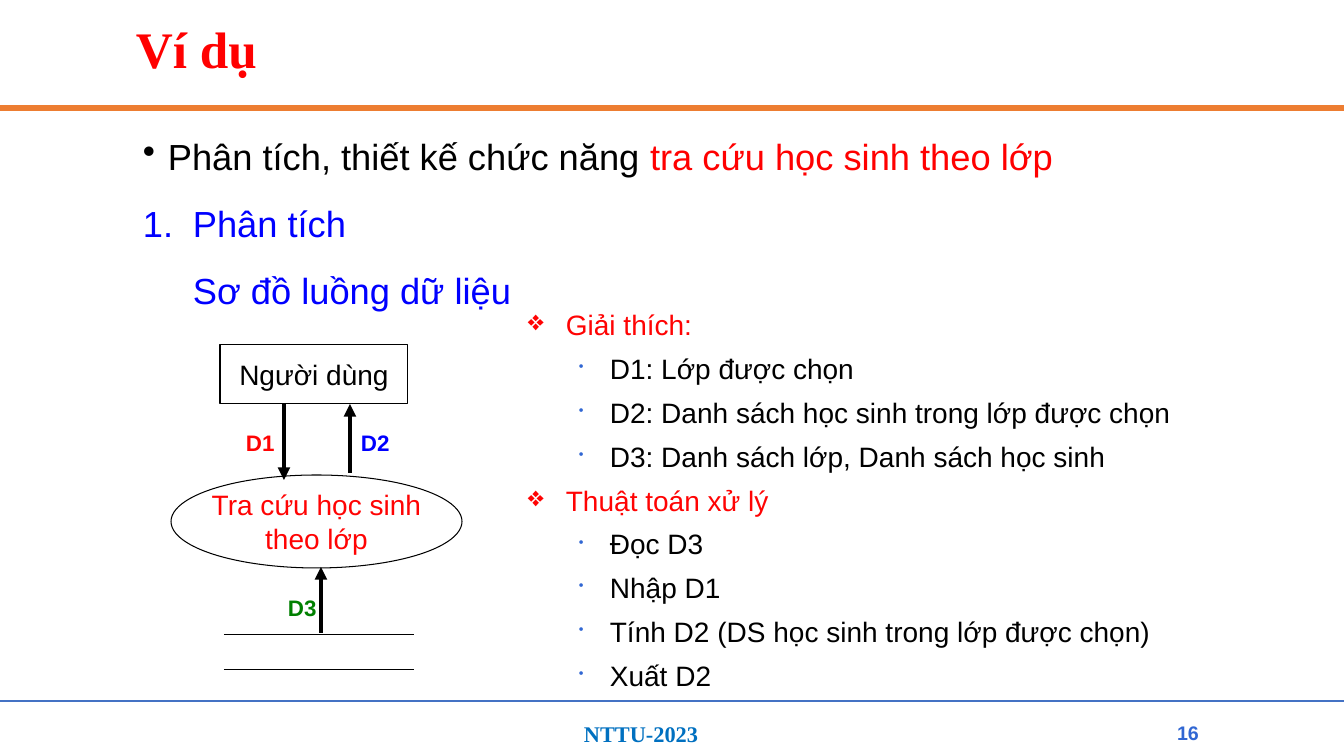
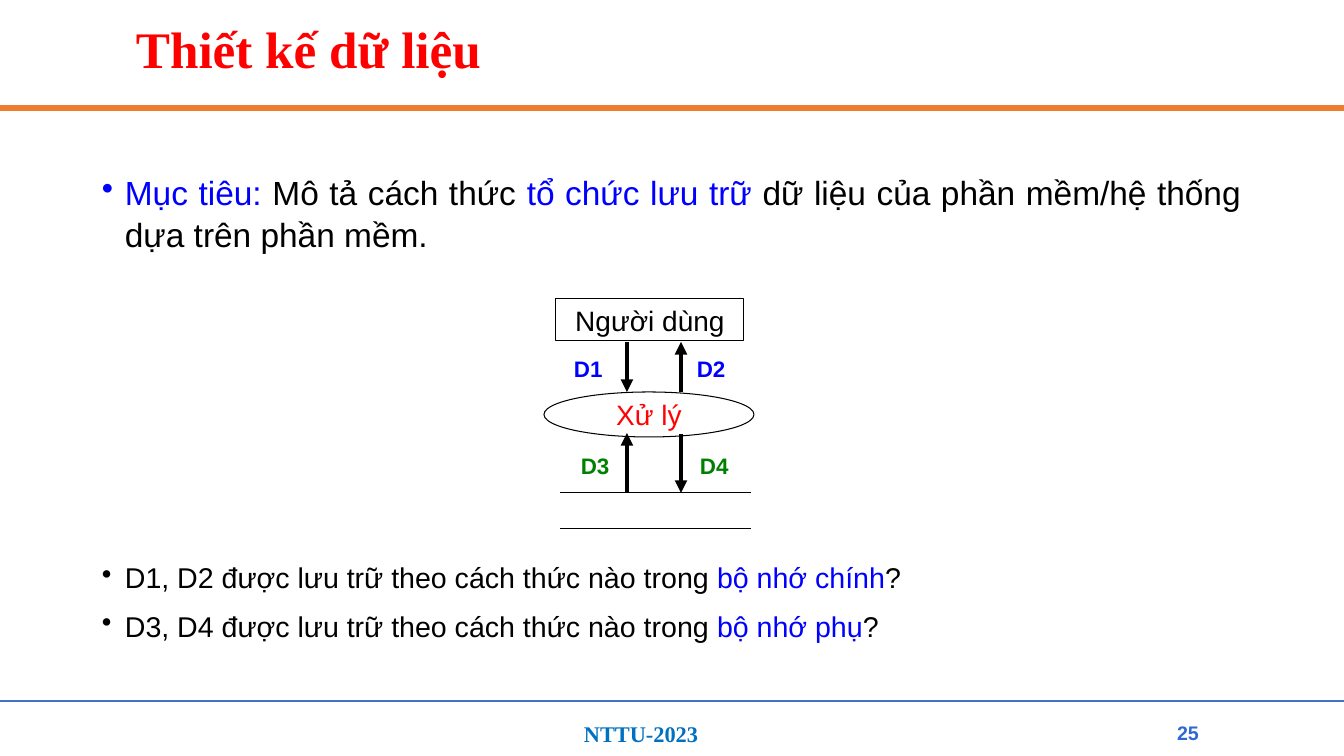
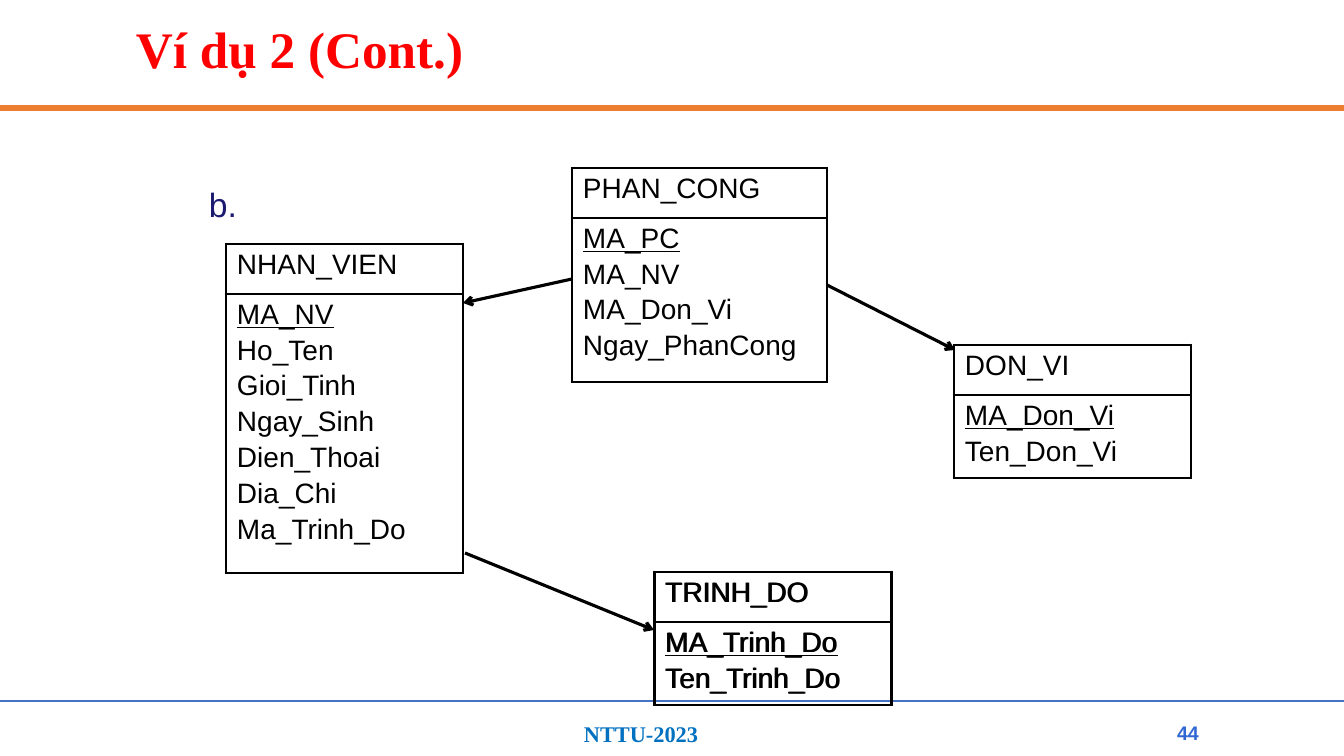
from lxml.etree import SubElement
from pptx import Presentation
from pptx.dml.color import RGBColor
from pptx.enum.shapes import MSO_CONNECTOR, MSO_SHAPE
from pptx.enum.text import MSO_ANCHOR, PP_ALIGN
from pptx.oxml.ns import qn
from pptx.util import Emu, Pt

WIDTH, HEIGHT = 1344, 756
SCALE = 12192000 / WIDTH
BLACK, RED, SIGNAL, BLUE, GREEN = "000000", "FF0000", "FF0303", "0000FF", "008000"
NUMBER_BLUE = "3167D3"


def px(length):
    return Emu(round(length * SCALE))


def rgb(code):
    return RGBColor.from_string(code)


def add_bullet(para, bullet, color=None, percent=None):
    """Give a paragraph a bullet character, or a number when bullet is '1.'."""
    properties = para._p.get_or_add_pPr()
    if color:
        holder = SubElement(properties, qn("a:buClr"))
        SubElement(holder, qn("a:srgbClr"), val=color)
    if percent:
        SubElement(properties, qn("a:buSzPct"), val=str(percent * 1000))
    if bullet == "1.":
        SubElement(properties, qn("a:buAutoNum"), type="arabicPeriod")
    else:
        SubElement(properties, qn("a:buChar"), char=bullet)


def write(frame, text, size=20, color=BLACK, font="Arial", bold=False,
          underline=False, align=PP_ALIGN.LEFT, spacing=None, before=0,
          margin=0, hanging=0, bullet=None, bullet_color=None,
          bullet_percent=None):
    """Add one paragraph; text is a string or a list of (text, color) spans."""
    first = not frame.text
    para = frame.paragraphs[0] if first else frame.add_paragraph()
    if margin:
        properties = para._p.get_or_add_pPr()
        properties.set("marL", str(px(margin)))
        properties.set("indent", str(px(-hanging)))
    if bullet:
        add_bullet(para, bullet, bullet_color, bullet_percent)
    para.alignment = align
    if spacing:
        para.line_spacing = spacing
    if before and not first:
        para.space_before = Pt(before)
    for words, span_color in [(text, color)] if isinstance(text, str) else text:
        span = para.add_run()
        span.text = words
        span.font.name = font
        span.font.size = Pt(size)
        span.font.bold = bold
        span.font.underline = underline
        span.font.color.rgb = rgb(span_color)


class Lecture:
    """Holds the deck, its shared style and the current page."""

    def __init__(self):
        self.deck = Presentation()
        self.deck.slide_width, self.deck.slide_height = px(WIDTH), px(HEIGHT)
        self.page = None

    def new_page(self, title, number):
        self.page = self.deck.slides.add_slide(self.deck.slide_layouts[6])
        self.line((0, 108), (WIDTH, 108), 4.5, "ED7D31")
        self.line((0, 701), (WIDTH, 701), 1.5, "4472C4")
        write(self.text_box(574, 715, 179, 37), "NTTU-2023", size=16,
              font="Times New Roman", color="0070C0", bold=True)
        write(self.text_box(126, 23, 1092, 58, MSO_ANCHOR.MIDDLE), title, size=36.6,
              font="Times New Roman", color=RED, bold=True, spacing=0.9)
        write(self.text_box(1165, 715, 46, 36, MSO_ANCHOR.MIDDLE), str(number),
              size=14, color=NUMBER_BLUE, bold=True, align=PP_ALIGN.CENTER)

    def text_box(self, x, y, width, height, anchor=MSO_ANCHOR.TOP, wrap=True):
        box = self.page.shapes.add_textbox(px(x), px(y), px(width), px(height))
        box.text_frame.word_wrap = wrap
        box.text_frame.vertical_anchor = anchor
        return box.text_frame

    def line(self, start, end, weight=0.75, color=BLACK, head=None):
        line = self.page.shapes.add_connector(
            MSO_CONNECTOR.STRAIGHT, *map(px, start + end))
        line.line.width = Pt(weight)
        line.line.color.rgb = rgb(color)
        if head:
            SubElement(line.line._get_or_add_ln(), qn("a:tailEnd"), type=head)
        SubElement(line._element.spPr, qn("a:effectLst"))

    def node(self, kind, x, y, width, height, lines, color=BLACK):
        """Draw an outlined shape with centred lines of text."""
        node = self.page.shapes.add_shape(kind, px(x), px(y), px(width), px(height))
        node.shadow.inherit = False
        node.fill.background()
        node.line.color.rgb = rgb(BLACK)
        node.line.width = Pt(0.75)
        frame = node.text_frame
        frame.word_wrap = False
        frame.vertical_anchor = MSO_ANCHOR.MIDDLE
        for text in lines:
            write(frame, text, color=color, align=PP_ALIGN.CENTER)

    def data_store(self, left, right, *levels):
        for y in levels:
            self.line((left, y), (right, y))

    def flow(self, name, color, label_at, x, start, end):
        """Draw a labelled vertical data-flow arrow."""
        self.line((x, start), (x, end), 3, head="triangle")
        write(self.text_box(*label_at, 49, 37, wrap=False), name, size=16,
              color=color, bold=True)

    def entity(self, x, y, width, body_height, name, key, *fields):
        """Draw a relation as a two-row table with its key underlined."""
        heights = (50, body_height)
        frame = self.page.shapes.add_table(
            2, 1, px(x), px(y), px(width), px(sum(heights)))
        table = frame.table
        table.first_row = table.horz_banding = False
        for row, height in enumerate(heights):
            table.rows[row].height = px(height)
            cell = table.cell(row, 0)
            cell.margin_left = cell.margin_right = px(11)
            cell.margin_top = cell.margin_bottom = px(5)
            top, bottom = (2.25, 1) if row == 0 else (1, 2.25)
            self.borders(cell, L=2.25, R=2.25, T=top, B=bottom)
            cell.fill.background()
        write(table.cell(0, 0).text_frame, name)
        body = table.cell(1, 0).text_frame
        write(body, key, underline=True)
        for field in fields:
            write(body, field, before=3.3)

    def borders(self, cell, **weights):
        properties = cell._tc.get_or_add_tcPr()
        for side, weight in weights.items():
            edge = SubElement(properties, qn(f"a:ln{side}"), w=str(Pt(weight)))
            fill = SubElement(edge, qn("a:solidFill"))
            SubElement(fill, qn("a:srgbClr"), val=BLACK)


def lookup_page(lecture):
    lecture.new_page("Ví dụ", 16)
    body = lecture.text_box(133, 118, 1079, 200)
    style = dict(size=25.9, align=PP_ALIGN.JUSTIFY, spacing=1.25, before=9.2)
    write(body, [("Phân tích, thiết kế chức năng ", BLACK),
                 ("tra cứu học sinh theo lớp", RED)],
          margin=25, hanging=25, bullet="•", **style)
    write(body, "Phân tích", color=BLUE, margin=50, hanging=50, bullet="1.", **style)
    write(body, "Sơ đồ luồng dữ liệu", color=BLUE, margin=50, **style)

    lecture.node(MSO_SHAPE.RECTANGLE, 220, 345, 188, 59, ["Người dùng"])
    lecture.node(MSO_SHAPE.OVAL, 171, 475, 291, 93,
                 ["Tra cứu học sinh", "theo lớp"], SIGNAL)
    lecture.data_store(224, 414, 635, 670)
    lecture.flow("D1", SIGNAL, (236, 424), 284, 404, 480)
    lecture.flow("D2", BLUE, (351, 424), 350, 473, 404)
    lecture.flow("D3", GREEN, (278, 589), 321, 633, 567)

    notes = lecture.text_box(518, 299, 694, 400)
    sections = {
        "Giải thích:": ["D1: Lớp được chọn",
                        "D2: Danh sách học sinh trong lớp được chọn",
                        "D3: Danh sách lớp, Danh sách học sinh"],
        "Thuật toán xử lý": ["Đọc D3", "Nhập D1",
                             "Tính D2 (DS học sinh trong lớp được chọn)", "Xuất D2"],
    }
    style = dict(align=PP_ALIGN.JUSTIFY, spacing=1.1, before=5)
    for heading, items in sections.items():
        write(notes, heading, color=SIGNAL, margin=38, hanging=38, bullet="❖", **style)
        for item in items:
            write(notes, item, margin=82, hanging=31, bullet="•",
                  bullet_color=NUMBER_BLUE, bullet_percent=50, **style)


def data_design_page(lecture):
    lecture.new_page("Thiết kế dữ liệu", 25)
    style = dict(align=PP_ALIGN.JUSTIFY, spacing=1.04, before=9.2,
                 margin=23, hanging=23, bullet="•")
    write(lecture.text_box(92, 166, 1159, 95),
          [("Mục tiêu:", BLUE), (" Mô tả cách thức ", BLACK),
           ("tổ chức lưu trữ", BLUE),
           (" dữ liệu của phần mềm/hệ thống dựa trên phần mềm.", BLACK)],
          size=23.9, **style)
    questions = lecture.text_box(92, 554, 1159, 95)
    for flows, memory in (("D1, D2", "bộ nhớ chính"), ("D3, D4", "bộ nhớ phụ")):
        write(questions, [(f"{flows} được lưu trữ theo cách thức nào trong ", BLACK),
                          (memory, BLUE), ("?", BLACK)], size=20.4, **style)

    lecture.node(MSO_SHAPE.RECTANGLE, 556, 299, 188, 42, ["Người dùng"])
    lecture.data_store(560, 751, 493, 529)
    lecture.flow("D1", BLUE, (564, 350), 627, 342, 392)
    lecture.flow("D2", BLUE, (687, 350), 681, 392, 342)
    lecture.flow("D3", GREEN, (571, 447), 627, 492, 433)
    lecture.flow("D4", GREEN, (690, 447), 681, 434, 493)
    lecture.node(MSO_SHAPE.OVAL, 544, 392, 210, 45, ["Xử lý"], SIGNAL)


def relations_page(lecture):
    lecture.new_page("Ví dụ 2 (Cont.)", 44)
    write(lecture.text_box(199, 179, 64, 50), "b.", size=24, color="1A1A70")
    lecture.entity(226, 244, 237, 279, "NHAN_VIEN", "MA_NV", "Ho_Ten", "Gioi_Tinh",
                   "Ngay_Sinh", "Dien_Thoai", "Dia_Chi", "Ma_Trinh_Do")
    lecture.entity(572, 168, 255, 164, "PHAN_CONG", "MA_PC", "MA_NV", "MA_Don_Vi",
                   "Ngay_PhanCong")
    lecture.entity(954, 345, 237, 83, "DON_VI", "MA_Don_Vi", "Ten_Don_Vi")
    for x in (654, 655):
        lecture.entity(x, 572, 237, 83, "TRINH_DO", "MA_Trinh_Do", "Ten_Trinh_Do")
    for start, end in (((572, 279), (463, 303)), ((465, 553), (654, 630)),
                       ((827, 285), (955, 350))):
        lecture.line(start, end, 2.25, head="arrow")


def main():
    lecture = Lecture()
    lookup_page(lecture)
    data_design_page(lecture)
    relations_page(lecture)
    lecture.deck.save("out.pptx")


if __name__ == "__main__":
    main()
